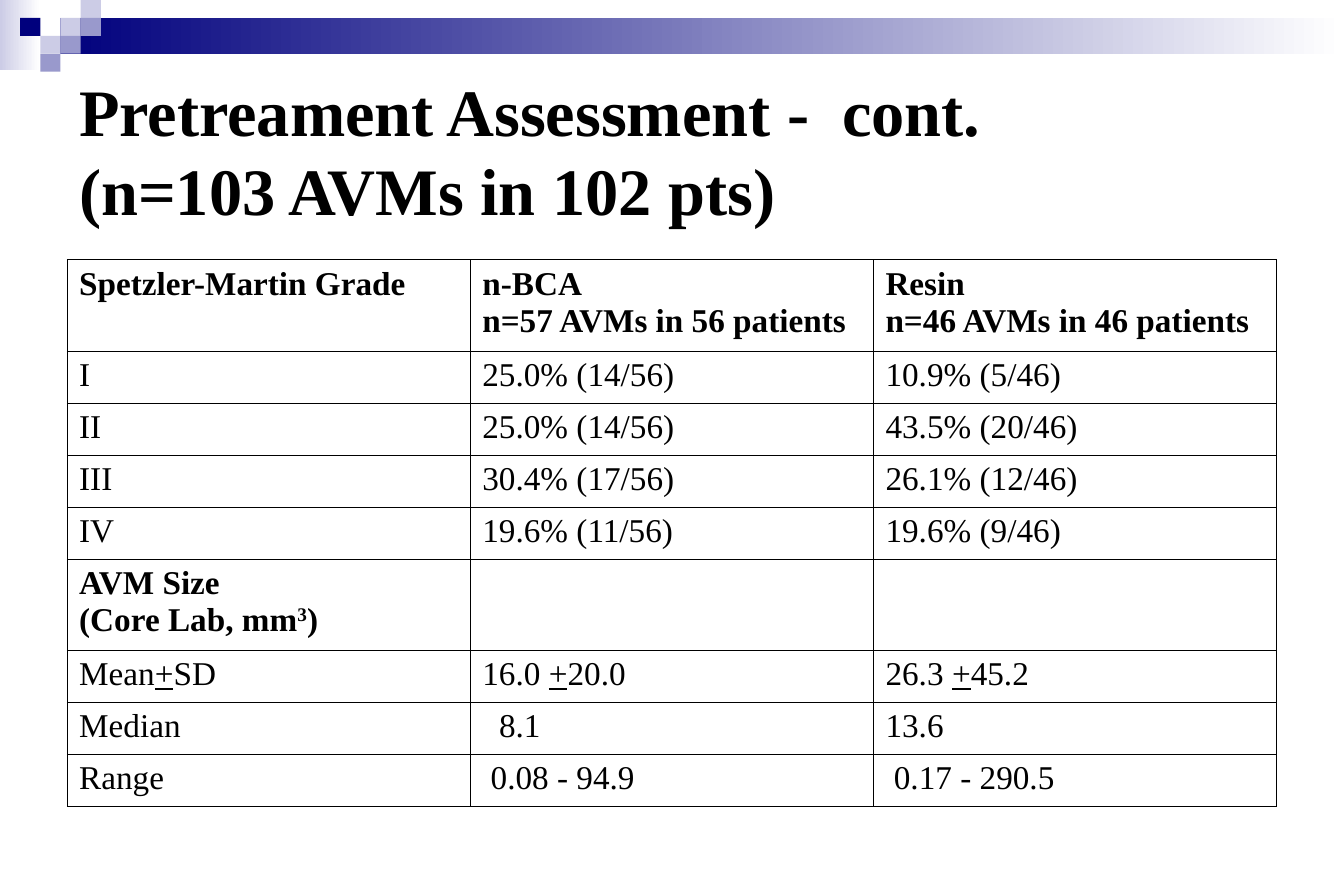
from dataclasses import dataclass
from typing import NamedTuple
from lxml.etree import SubElement
from pptx import Presentation
from pptx.dml.color import RGBColor
from pptx.enum.shapes import MSO_SHAPE
from pptx.enum.text import MSO_ANCHOR, MSO_AUTO_SIZE, PP_ALIGN
from pptx.oxml.ns import qn
from pptx.util import Inches, Pt


@dataclass(frozen=True)
class Theme:
    """Hold the colours, font and type sizes."""
    ink: str = "000000"
    paper: str = "FFFFFF"
    navy: str = "00007D"
    mid: str = "9999CC"
    pale: str = "CCCCE6"
    font: str = "Times New Roman"
    head: int = 40
    body: int = 20
    rule: float = 0.45


class Box(NamedTuple):
    """Give a region in inches."""
    x: float
    y: float
    w: float
    h: float


THEME = Theme()
WIDE, HIGH = 11.25, 7.5
SPACE = 0.07
TILES = [(3, 1, THEME.pale), (4, 0, THEME.pale), (4, 1, THEME.mid), (2, 2, THEME.pale),
         (1, 1, THEME.navy), (3, 2, THEME.mid), (2, 3, THEME.mid)]
TITLE = "Pretreament Assessment -  cont.\v(n=103 AVMs in 102 pts)"
ROWS = [
    ("Spetzler-Martin Grade", "n-BCA\nn=57 AVMs in 56 patients",
     "Resin\nn=46 AVMs in 46 patients"),
    ("I", "25.0% (14/56)", "10.9% (5/46)"),
    ("II", "25.0% (14/56)", "43.5% (20/46)"),
    ("III", "30.4% (17/56)", "26.1% (12/46)"),
    ("IV", "19.6% (11/56)", "19.6% (9/46)"),
    ("AVM Size\n(Core Lab, mm|3|)", "", ""),
    ("Mean|+|SD", "16.0 |+|20.0", "26.3 |+|45.2"),
    ("Median", "8.1", "13.6"),
    ("Range", "0.08 - 94.9", "0.17 - 290.5"),
]
HEADS = (0, 5)
SHIFTS = {(7, 1): 2, (8, 1): 1, (8, 2): 1}


def style(run, size, bold):
    """Set the face of one run."""
    font = run.font
    font.name, font.size, font.bold = THEME.font, Pt(size), bold
    font.color.rgb = RGBColor.from_string(THEME.ink)


def block(slide, box, *tints):
    """Draw a bare block, flat or fading from left to right."""
    shape = slide.shapes.add_shape(MSO_SHAPE.RECTANGLE, *map(Inches, box))
    shape.shadow.inherit = False
    shape.line.fill.background()
    if len(tints) == 1:
        shape.fill.solid()
        shape.fill.fore_color.rgb = RGBColor.from_string(tints[0])
        return
    shape.fill.gradient()
    shape.fill.gradient_angle = 0
    for stop, tint in zip(shape.fill.gradient_stops, tints):
        stop.color.rgb = RGBColor.from_string(tint)


def banner(slide, box):
    """Draw the fading bars and the tiles on a 5 by 4 grid."""
    col, row = box.w / 5, box.h / 4
    block(slide, Box(box.x, box.y, 2 * col, 3.9 * row), THEME.pale, THEME.paper)
    left = box.x + 3 * col
    block(slide, Box(left, box.y + row, WIDE - left, 2 * row), THEME.navy, THEME.paper)
    for across, down, tint in TILES:
        block(slide, Box(box.x + across * col, box.y + down * row, col, row), tint)


def heading(slide, box):
    """Fill and place the title."""
    title = slide.shapes.title
    title.left, title.top, title.width, title.height = map(Inches, box)
    frame = title.text_frame
    frame.text = TITLE
    frame.auto_size = MSO_AUTO_SIZE.NONE
    frame.vertical_anchor = MSO_ANCHOR.MIDDLE
    line = frame.paragraphs[0]
    line.alignment = PP_ALIGN.LEFT
    for run in line.runs:
        style(run, THEME.head, True)


def border(cell):
    """Rule all four sides of a cell."""
    props = cell._tc.get_or_add_tcPr()
    for side in ("a:lnL", "a:lnR", "a:lnT", "a:lnB"):
        edge = SubElement(props, qn(side), w=str(Pt(THEME.rule)))
        fill = SubElement(edge, qn("a:solidFill"))
        SubElement(fill, qn("a:srgbClr"), val=THEME.ink)
    cell.fill.background()


def write(cell, text, bold, shift):
    """Write a cell, with marked parts underlined or raised."""
    cell.text_frame.text = text
    for line in cell.text_frame.paragraphs:
        parts = line.text.split("|")
        line.text = parts[0]
        for part in parts[1:]:
            line.add_run().text = part
        if shift:
            line._p.get_or_add_pPr().set("marL", str(Inches(shift * SPACE)))
        for spot, run in enumerate(line.runs):
            style(run, THEME.body, bold)
            if spot % 2 and run.text == "+":
                run.font.underline = True
            elif spot % 2:
                run._r.get_or_add_rPr().set("baseline", "30000")


def grid(slide, box):
    """Build the table with taller head rows."""
    count = len(ROWS[0])
    table = slide.shapes.add_table(len(ROWS), count, *map(Inches, box)).table
    table.first_row = table.horz_banding = False
    for col in table.columns:
        col.width = Inches(box.w / count)
    for down, texts in enumerate(ROWS):
        bold = down in HEADS
        table.rows[down].height = Inches(box.h * (1 / 6 if bold else 2 / 21))
        for across, text in enumerate(texts):
            cell = table.cell(down, across)
            border(cell)
            write(cell, text, bold, SHIFTS.get((down, across), 0))


def main():
    """Build and save the slide."""
    deck = Presentation()
    deck.slide_width, deck.slide_height = Inches(WIDE), Inches(HIGH)
    slide = deck.slides.add_slide(deck.slide_layouts[5])
    side = WIDE * 0.05
    banner(slide, Box(0, 0, WIDE * 0.075, HIGH * 0.08))
    heading(slide, Box(side, HIGH / 15, WIDE * 0.9, HIGH * 0.2))
    grid(slide, Box(side, HIGH * 0.29, WIDE * 0.9, HIGH * 0.61))
    deck.save("out.pptx")


if __name__ == "__main__":
    main()
